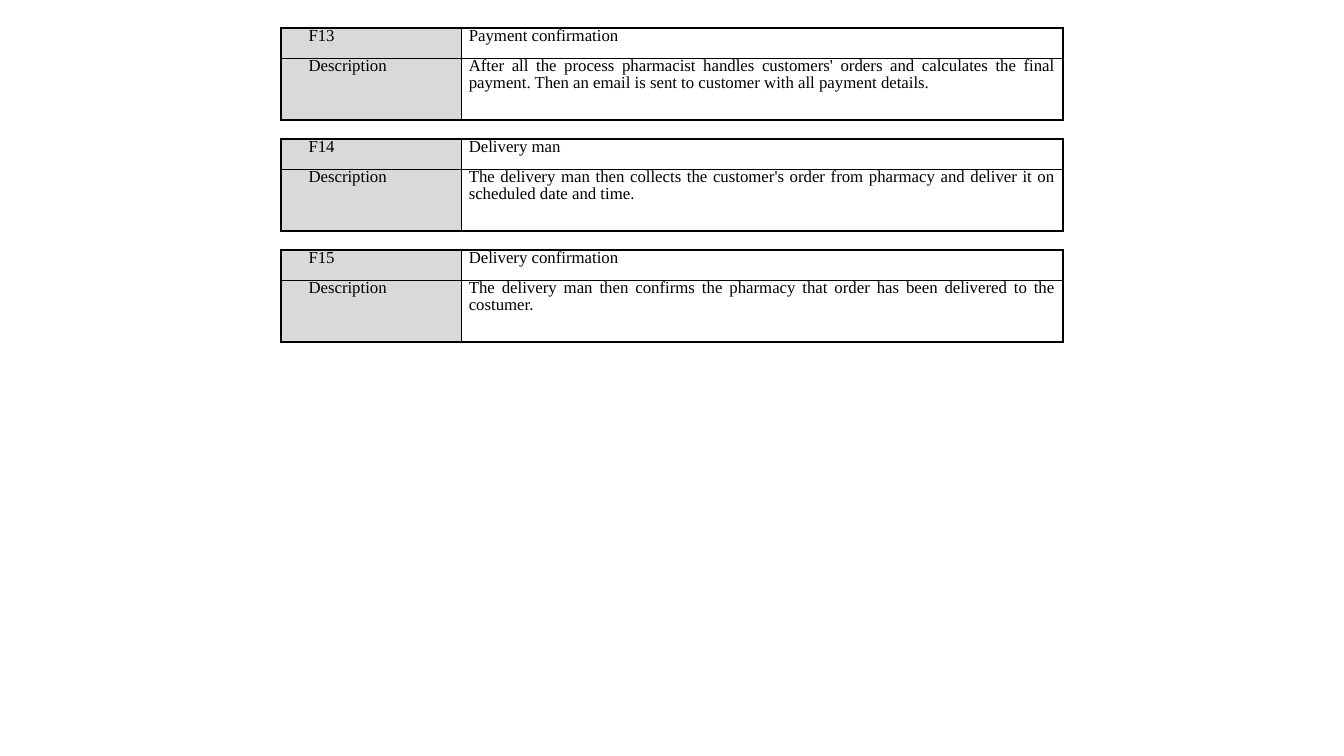
from lxml import etree
from pptx import Presentation
from pptx.dml.color import RGBColor
from pptx.enum.text import PP_ALIGN
from pptx.oxml.ns import qn
from pptx.util import Inches, Pt

JUSTIFY, LEFT = PP_ALIGN.JUSTIFY, PP_ALIGN.LEFT

CARDS = [
    ("F13", "Payment confirmation",
     "After all the process pharmacist handles customers' orders and "
     "calculates the final payment. Then an email is sent to customer "
     "with all payment details."),
    ("F14", "Delivery man",
     "The delivery man then collects the customer's order from pharmacy "
     "and deliver it on scheduled date and time."),
    ("F15", "Delivery confirmation",
     "The delivery man then confirms the pharmacy that order has been "
     "delivered to the costumer."),
]

WIDTH, HEIGHT = 13.33, 7.5
COLS, ROWS = (1.79, 5.96), (0.3, 0.61)
LEFT_X = (WIDTH - sum(COLS)) / 2
TOP, STEP = 0.28, 1.1
INDENT = 0.2
OUTER, INNER = 1.5, 1
INK, SHADE = "000000", "D9D9D9"

CELL = {"margin_left": Inches(0.07), "margin_right": Inches(0.07),
        "margin_top": 0, "margin_bottom": 0}
PARA = {"line_spacing": Pt(12), "space_after": Pt(6), "space_before": Pt(0)}
FONT = {"name": "Times New Roman", "size": Pt(12), "bold": False}


def color(code):
    """Turn a hex string into a colour."""
    return RGBColor.from_string(code)


def style(item, values):
    """Set each attribute in values on the item."""
    for name, value in values.items():
        setattr(item, name, value)


def border(cell, row, col):
    """Draw thick lines on the table's edge and thin ones inside."""
    props = cell._tc.get_or_add_tcPr()
    edges = {"lnL": col == 0, "lnR": col == 1,
             "lnT": row == 0, "lnB": row == 1}
    for tag, outer in edges.items():
        line = etree.SubElement(props, qn("a:" + tag))
        line.set("w", str(Pt(OUTER if outer else INNER)))
        fill = etree.SubElement(line, qn("a:solidFill"))
        etree.SubElement(fill, qn("a:srgbClr")).set("val", INK)


def fill_cell(cell, text, row, col):
    """Write and format one cell."""
    style(cell, CELL)
    border(cell, row, col)
    if col == 0:
        cell.fill.solid()
        cell.fill.fore_color.rgb = color(SHADE)
    else:
        cell.fill.background()
    para = cell.text_frame.paragraphs[0]
    style(para, PARA)
    para.alignment = LEFT if (row, col) == (0, 1) else JUSTIFY
    if col == 0:
        para._p.get_or_add_pPr().set("marL", str(Inches(INDENT)))
    run = para.add_run()
    run.text = text
    style(run.font, FONT)
    run.font.color.rgb = color(INK)


def add_card(slide, top, code, title, about):
    """Add the table for one feature."""
    table = slide.shapes.add_table(
        len(ROWS), len(COLS), Inches(LEFT_X), Inches(top),
        Inches(sum(COLS)), Inches(sum(ROWS))).table
    style(table, {"first_row": False, "horz_banding": False})
    for col, width in zip(table.columns, COLS):
        col.width = Inches(width)
    for row, height in zip(table.rows, ROWS):
        row.height = Inches(height)
    for r, texts in enumerate([(code, title), ("Description", about)]):
        for c, text in enumerate(texts):
            fill_cell(table.cell(r, c), text, r, c)


deck = Presentation()
style(deck, {"slide_width": Inches(WIDTH), "slide_height": Inches(HEIGHT)})
page = deck.slides.add_slide(deck.slide_layouts[6])
for i, card in enumerate(CARDS):
    add_card(page, TOP + i * STEP, *card)
deck.save("out.pptx")
